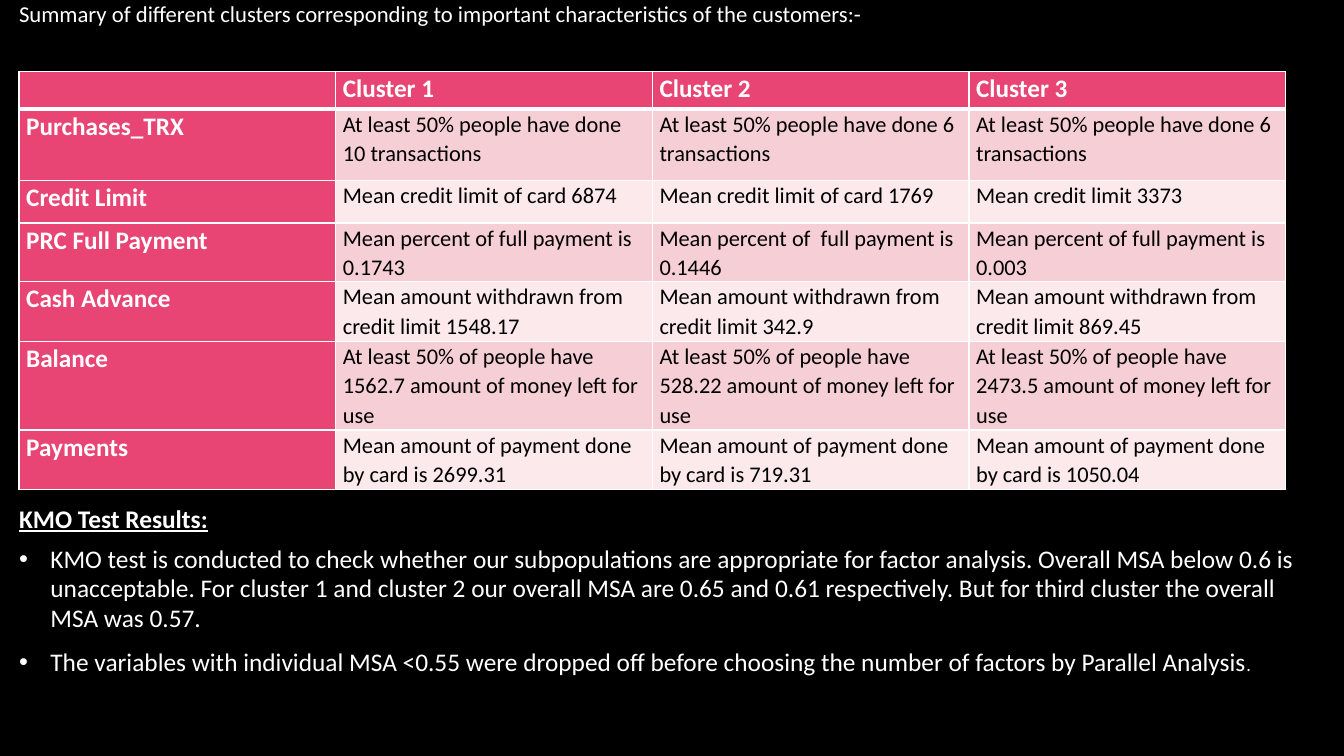
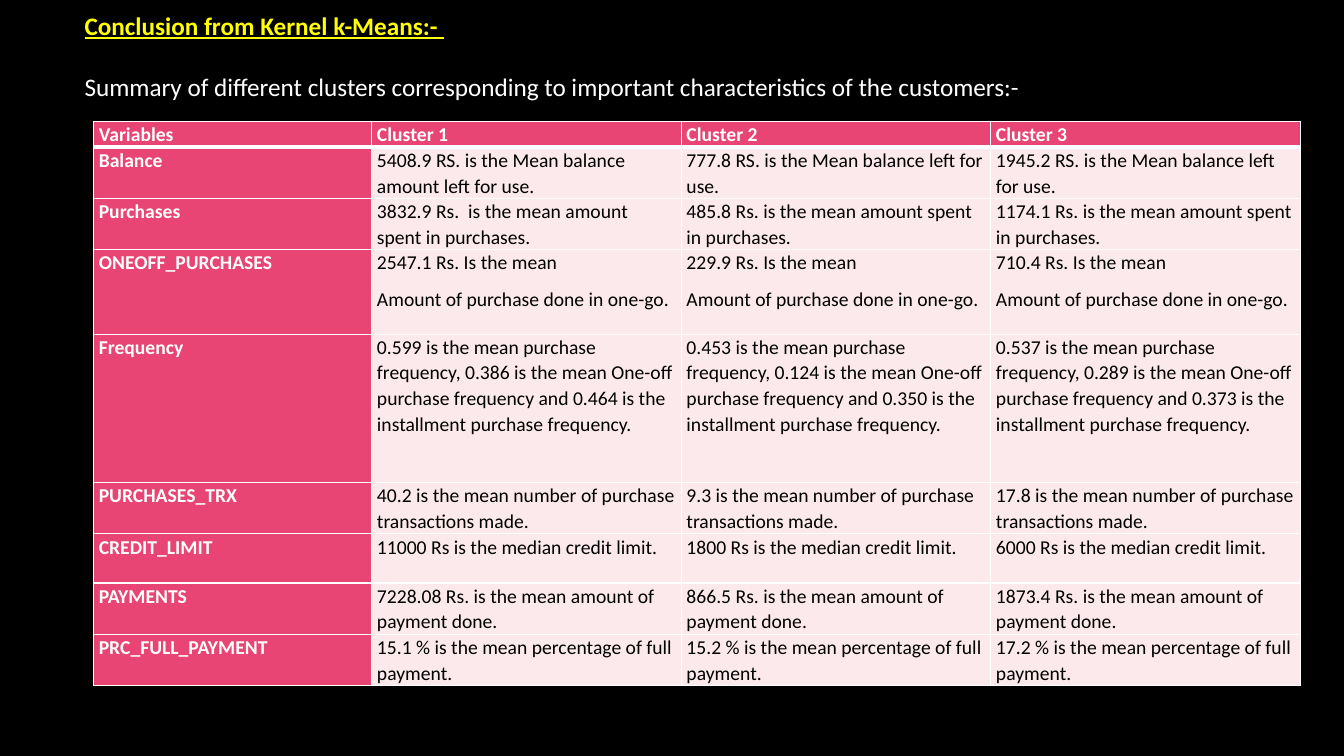
from pptx import Presentation
from pptx.dml.color import RGBColor as Rgb
from pptx.enum.text import MSO_ANCHOR as Anchor, MSO_AUTO_SIZE as Auto, PP_ALIGN as Align
from pptx.oxml import parse_xml
from pptx.oxml.ns import nsdecls
from pptx.util import Cm, Pt

FONT = "Calibri"
HUES = {
    "back": "000000",
    "ink": "000000",
    "white": "FFFFFF",
    "gold": "FFFF00",
    "head": "E84574",
    "rose": "F6CFD6",
    "pale": "FBE9EB",
}
LEAD = "Summary of different clusters corresponding to important characteristics of the customers:-"
NAMES = ["Cluster 1", "Cluster 2", "Cluster 3"]
FIRST = [
    ("Purchases_TRX", "At least 50% people have done {} transactions", ["10", "6", "6"]),
    ("Credit Limit", "Mean credit limit {}", ["of card 6874", "of card 1769", "3373"]),
    ("PRC Full Payment", "Mean percent of {}",
     ["full payment is 0.1743", " full payment is 0.1446", "full payment is 0.003"]),
    ("Cash Advance", "Mean amount withdrawn from credit limit {}", ["1548.17", "342.9", "869.45"]),
    ("Balance", "At least 50% of people have {} amount of money left for use",
     ["1562.7", "528.22", "2473.5"]),
    ("Payments", "Mean amount of payment done by card is {}", ["2699.31", "719.31", "1050.04"]),
]
KERNEL = [
    ("Balance", "{} left for use.",
     ["5408.9 RS. is the Mean balance amount", "777.8 RS. is the Mean balance",
      "1945.2 RS. is the Mean balance"]),
    ("Purchases", "{} is the mean amount spent in purchases.",
     ["3832.9 Rs. ", "485.8 Rs.", "1174.1 Rs."]),
    ("ONEOFF_PURCHASES", "{} Rs. Is the mean\nAmount of purchase done in one-go.",
     ["2547.1", "229.9", "710.4"]),
    ("Frequency",
     "{} is the mean purchase frequency, {} is the mean One-off purchase frequency "
     "and {} is the installment purchase frequency.",
     ["0.599|0.386|0.464", "0.453|0.124|0.350", "0.537|0.289|0.373"]),
    ("PURCHASES_TRX", "{} is the mean number of purchase transactions made.",
     ["40.2", "9.3", "17.8"]),
    ("CREDIT_LIMIT", "{} Rs is the median credit limit.", ["11000", "1800", "6000"]),
    ("PAYMENTS", "{} Rs. is the mean amount of payment done.", ["7228.08", "866.5", "1873.4"]),
    ("PRC_FULL_PAYMENT", "{} % is the mean percentage of full payment.",
     ["15.1", "15.2", "17.2"]),
]


def add_run(para, text, size, hue="white", bold=False, line=False):
    run = para.add_run()
    run.text = text
    font = run.font
    font.name, font.size = FONT, Pt(size)
    font.bold, font.underline = bold, line
    font.color.rgb = Rgb.from_string(HUES[hue])


def set_box(shape, left, top, width, height):
    shape.left, shape.top = Cm(left), Cm(top)
    shape.width, shape.height = Cm(width), Cm(height)
    frame = shape.text_frame
    frame.margin_left = frame.margin_right = frame.margin_top = frame.margin_bottom = 0
    frame.word_wrap, frame.auto_size = True, Auto.NONE
    frame.vertical_anchor = Anchor.TOP
    return frame


def set_para(para, space=1.0, after=0, dot=False):
    para.alignment = Align.LEFT
    para.line_spacing = space
    para.space_before, para.space_after = Pt(0), Pt(after)
    props = para._p.get_or_add_pPr()
    hang = Cm(0.79) if dot else 0
    props.set("marL", str(hang))
    props.set("indent", str(-hang))
    mark = 'buChar %s char="•"' if dot else "buNone %s"
    props.append(parse_xml("<a:" + mark % nsdecls("a") + "/>"))
    return para


def set_title(slide, box, text, size, **look):
    para = set_para(set_box(slide.shapes.title, *box).paragraphs[0])
    add_run(para, text, size, **look)


def set_edges(cell, top, base):
    props = cell._tc.get_or_add_tcPr()
    for spot, (side, width) in enumerate([("L", 1), ("R", 1), ("T", top), ("B", base)]):
        props.insert(spot, parse_xml(
            f'<a:ln{side} {nsdecls("a")} w="{Pt(width)}"><a:solidFill>'
            f'<a:srgbClr val="{HUES["white"]}"/></a:solidFill></a:ln{side}>'))


def set_cell(cell, text, size, hue, fill, inset, bold):
    cell.fill.solid()
    cell.fill.fore_color.rgb = Rgb.from_string(HUES[fill])
    cell.margin_left = cell.margin_right = Cm(inset)
    cell.margin_top = cell.margin_bottom = 0
    frame = cell.text_frame
    for num, part in enumerate(text.split("\n")):
        para = frame.add_paragraph() if num else frame.paragraphs[0]
        para.line_spacing, para.space_after = 1.07, Pt(8)
        if part:
            add_run(para, part, size, hue, bold)


def add_grid(slide, left, top, cols, highs, label, data, sizes, bands, inset):
    rows = [[label] + NAMES]
    for name, form, vals in data:
        rows.append([name] + [form.format(*val.split("|")) for val in vals])
    grid = slide.shapes.add_table(
        len(rows), len(cols), Cm(left), Cm(top), Cm(sum(cols)), Cm(sum(highs))).table
    for col, width in zip(grid.columns, cols):
        col.width = Cm(width)
    for r, (row, high) in enumerate(zip(rows, highs)):
        grid.rows[r].height = Cm(high)
        for c, text in enumerate(row):
            cell = grid.cell(r, c)
            if r == 0 or c == 0:
                set_cell(cell, text, sizes[0], "white", "head", inset, True)
            else:
                fill = bands[(r - 1) % len(bands)]
                set_cell(cell, text, sizes[1], "ink", fill, inset, False)
            set_edges(cell, 3 if r == 1 else 1, 3 if r == 0 else 1)


def add_first(deck, plan):
    slide = deck.slides.add_slide(plan)
    set_title(slide, (0.48, 0, 32.9, 0.9), LEAD, 16.2)
    add_grid(slide, 0.48, 1.81, [7.98] * 4, [0.94, 1.8, 1.07, 1.47, 1.5, 2.24, 1.5],
             "", FIRST, (18, 16), ["rose", "pale"], 0.18)
    frame = set_box(slide.placeholders[1], 0.48, 12.78, 32.9, 5)
    para = set_para(frame.paragraphs[0], 0.87, 8)
    add_run(para, "KMO Test Results:", 18.1, bold=True, line=True)
    para = set_para(frame.add_paragraph(), 0.97, 10, True)
    add_run(para, "KMO test is conducted to check whether our subpopulations are appropriate "
            "for factor analysis. Overall MSA below 0.6 is unacceptable. For cluster 1 and "
            "cluster 2 our overall MSA are 0.65 and 0.61 respectively. But for third cluster "
            "the overall MSA was 0.57.", 18.1)
    para = set_para(frame.add_paragraph(), 0.97, 10, True)
    add_run(para, "The variables with individual MSA <0.55 were dropped off before choosing "
            "the number of factors by Parallel Analysis", 18.1)
    add_run(para, ".", 13.1)


def add_kernel(deck, plan):
    slide = deck.slides.add_slide(plan)
    set_title(slide, (2.13, 0.25, 28.9, 0.9), "Conclusion from Kernel k-Means:- ", 18,
              hue="gold", bold=True, line=True)
    frame = set_box(slide.placeholders[1], 2.13, 1.79, 28.9, 0.9)
    add_run(set_para(frame.paragraphs[0]), LEAD, 18)
    add_grid(slide, 2.36, 3.06, [7.01] + [7.8] * 3,
             [0.65, 1.29, 1.29, 2.13, 3.74, 1.29, 1.24, 1.29, 1.29],
             "Variables", KERNEL, (14, 14), ["pale"], 0.13)


def main():
    deck = Presentation()
    deck.slide_width, deck.slide_height = Cm(33.87), Cm(19.05)
    fill = deck.slide_master.background.fill
    fill.solid()
    fill.fore_color.rgb = Rgb.from_string(HUES["back"])
    plan = deck.slide_layouts[1]
    add_first(deck, plan)
    add_kernel(deck, plan)
    deck.save("out.pptx")


if __name__ == "__main__":
    main()
